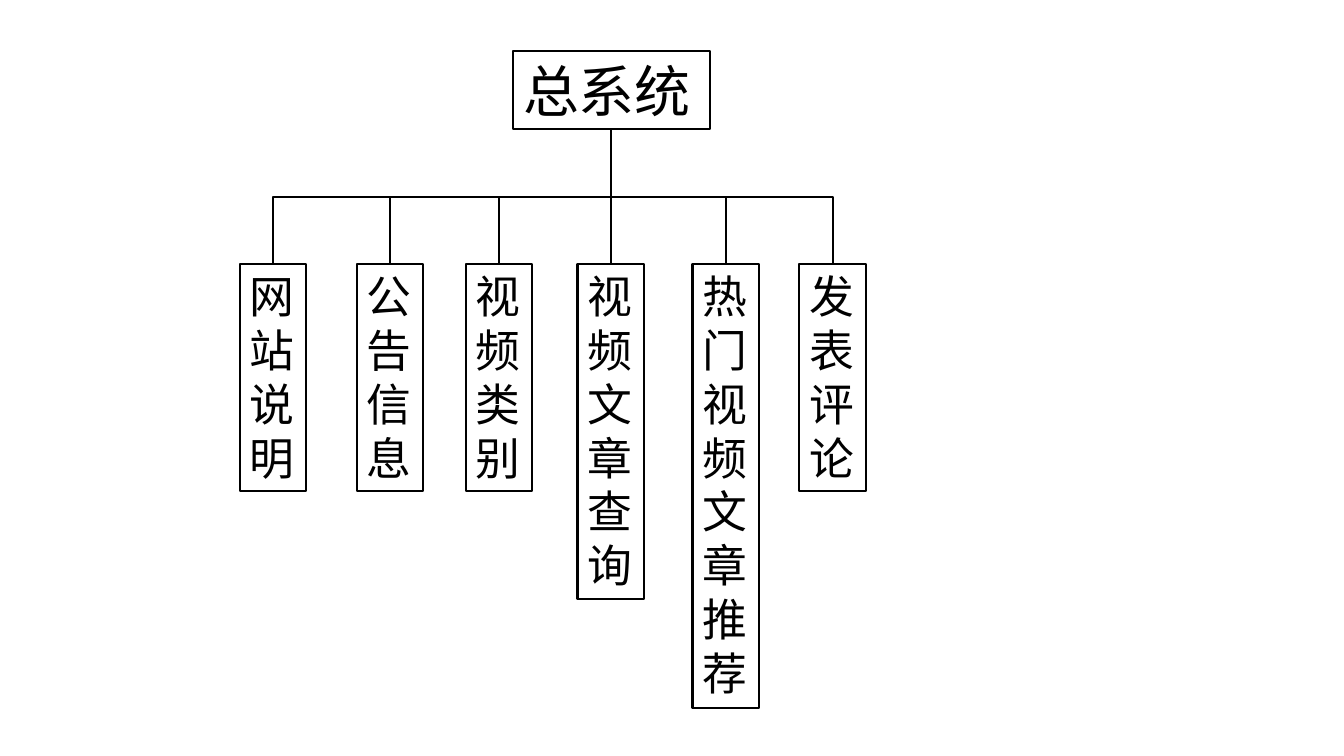
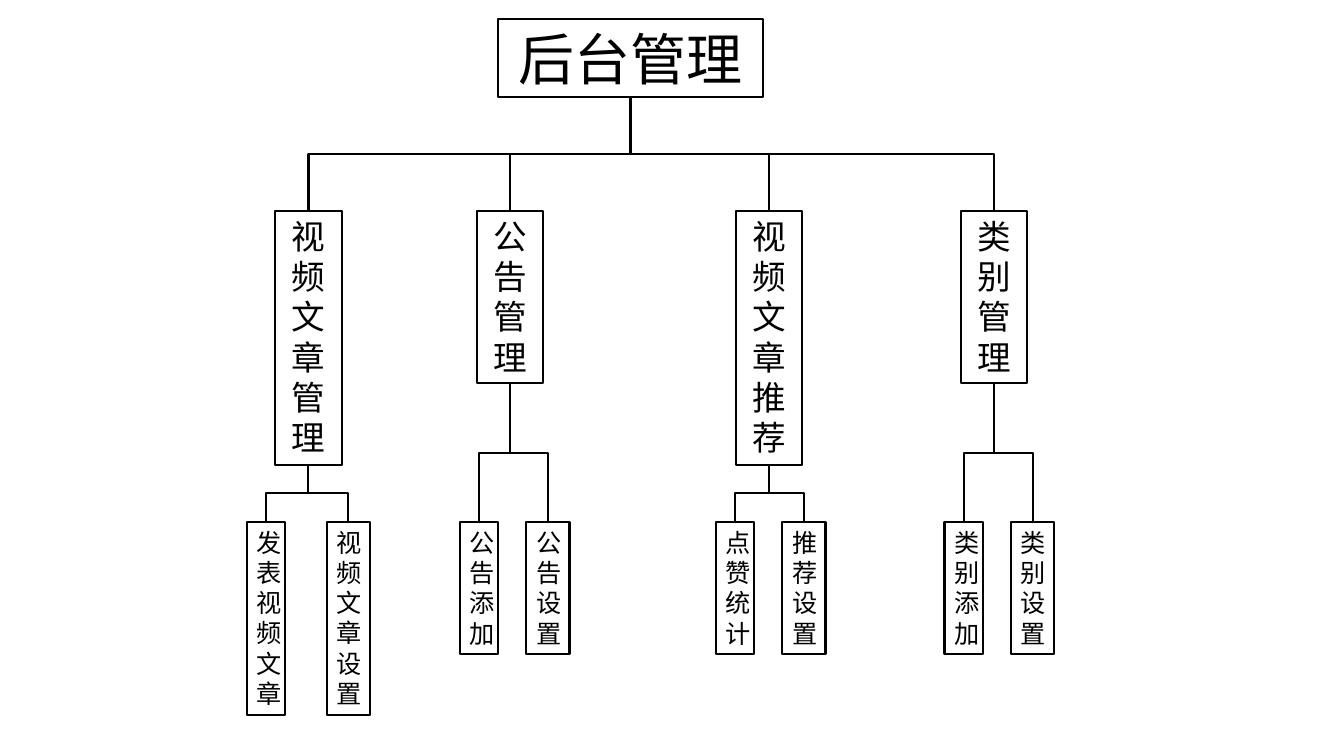
"""Draw two system charts as trees of boxes joined by elbow lines."""
from dataclasses import dataclass

from lxml import etree as et
from pptx import Presentation, util as u
from pptx.dml.color import RGBColor
from pptx.enum import shapes as sh, text as tx
from pptx.oxml.ns import qn


@dataclass(frozen=True)
class Theme:
    """Colours, type and the grid that all slides share."""
    ink: RGBColor = RGBColor(0, 0, 0)
    font: str = "Arial"
    line: float = 1.5
    head: int = 40
    large: int = 32
    mid: int = 24
    small: int = 18
    lead: float = 1.21
    cell: float = 0.1
    cols: float = 133.33
    rows: float = 75


@dataclass(frozen=True)
class Node:
    """A box at a column, some columns wide, with its children."""
    text: str
    col: float
    wide: float = 6.6
    kids: tuple["Node", ...] = ()


@dataclass(frozen=True)
class Level:
    """The top row and type size of one rank of boxes."""
    row: float
    size: int
    stack: bool = True


@dataclass(frozen=True)
class Chart:
    """A tree with its ranks and text alignment."""
    root: Node
    levels: tuple[Level, ...]
    align: tx.PP_ALIGN


THEME = Theme()

SYSTEM = Chart(
    Node("总系统", 50.9, 19.5, (
        Node("网站说明", 23.8),
        Node("公告信息", 35.4),
        Node("视频类别", 46.2),
        Node("视频文章查询", 57.3),
        Node("热门视频文章推荐", 68.7),
        Node("发表评论", 79.3),
    )),
    (Level(5.1, THEME.head, False), Level(26.2, THEME.large)),
    tx.PP_ALIGN.LEFT,
)


def pair(col: float, first: str, last: str, step: float = 6.6) -> tuple[Node, Node]:
    """Return a narrow and a wider leaf, one step apart."""
    return Node(first, col, 3.8), Node(last, col + step, 4.3)


ADMIN = Chart(
    Node("后台管理", 49.4, 26.3, (
        Node("视频文章管理", 27.3, kids=pair(24.5, "发表视频文章", "视频文章设置", 7.9)),
        Node("公告管理", 47.3, kids=pair(45.6, "公告添加", "公告设置")),
        Node("视频文章推荐", 73, kids=pair(71, "点赞统计", "推荐设置")),
        Node("类别管理", 95.3, kids=pair(93.7, "类别添加", "类别设置")),
    )),
    (Level(1.9, THEME.head, False), Level(20.9, THEME.mid), Level(51.8, THEME.small)),
    tx.PP_ALIGN.CENTER,
)


def span(cells: float) -> u.Length:
    """Turn grid cells into a length."""
    return u.Inches(cells * THEME.cell)


def draw_box(slide, node: Node, level: Level, align: tx.PP_ALIGN):
    """Draw a box as high as its lines of text."""
    lines = len(node.text) if level.stack else 1
    high = 1 + lines * level.size / 72 * THEME.lead / THEME.cell
    box = slide.shapes.add_shape(
        sh.MSO_SHAPE.RECTANGLE,
        span(node.col), span(level.row), span(node.wide), span(high))
    box.shadow.inherit = False
    box.fill.background()
    box.line.color.rgb = THEME.ink
    box.line.width = u.Pt(THEME.line)
    frame = box.text_frame
    frame.text = node.text
    frame.word_wrap = True
    frame.auto_size = tx.MSO_AUTO_SIZE.SHAPE_TO_FIT_TEXT
    frame.vertical_anchor = tx.MSO_ANCHOR.TOP
    para = frame.paragraphs[0]
    para.alignment = align
    font = para.runs[0].font
    font.name = THEME.font
    font.size = u.Pt(level.size)
    font.color.rgb = THEME.ink
    return box


def draw_link(slide, upper, lower) -> None:
    """Join the foot of one box to the head of another."""
    left, top = upper.left + upper.width // 2, upper.top + upper.height
    right, foot = lower.left + lower.width // 2, lower.top
    wide, high = right - left, foot - top
    bent = abs(wide) > span(0.5)
    if bent:
        mid, half = (left + right) // 2, (top + foot) // 2
        link = slide.shapes.add_connector(
            sh.MSO_CONNECTOR.ELBOW,
            mid - high // 2, half + wide // 2, mid + high // 2, half - wide // 2)
        link._element.spPr.xfrm.set("rot", "5400000")
    else:
        link = slide.shapes.add_connector(
            sh.MSO_CONNECTOR.STRAIGHT, left, top, left, foot)
    link.line.color.rgb = THEME.ink
    link.line.width = u.Pt(THEME.line)
    et.SubElement(link._element.spPr, qn("a:effectLst"))


def draw_tree(slide, chart: Chart, node: Node, depth: int = 0):
    """Draw a node, its children and the lines between them."""
    box = draw_box(slide, node, chart.levels[depth], chart.align)
    for kid in node.kids:
        draw_link(slide, box, draw_tree(slide, chart, kid, depth + 1))
    return box


def main() -> None:
    """Build the deck and save it."""
    deck = Presentation()
    deck.slide_width, deck.slide_height = span(THEME.cols), span(THEME.rows)
    for chart in (SYSTEM, ADMIN):
        slide = deck.slides.add_slide(deck.slide_layouts[6])
        draw_tree(slide, chart, chart.root)
    deck.save("out.pptx")


main()
